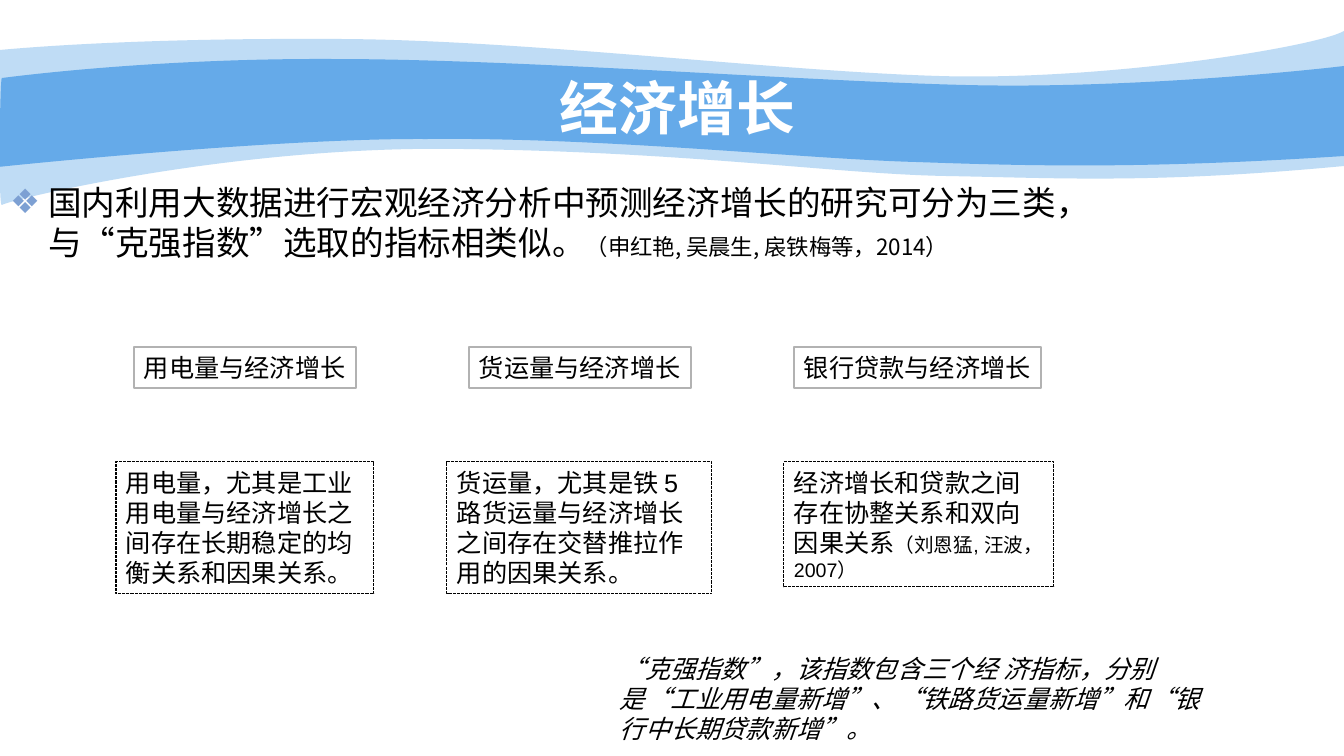
from dataclasses import dataclass

from lxml.etree import SubElement
from pptx import Presentation
from pptx.dml.color import RGBColor
from pptx.enum.dml import MSO_LINE
from pptx.enum.shapes import MSO_SHAPE
from pptx.enum.text import MSO_ANCHOR, MSO_AUTO_SIZE, PP_ALIGN
from pptx.oxml.ns import qn
from pptx.util import Emu, Pt

WIDTH, HEIGHT = 1344, 756
SCALE = 12192000 / WIDTH


@dataclass(frozen=True)
class Theme:
    wave: str = "65AAE9"
    bullet: str = "7DA0D3"
    frame: str = "B2B2B2"
    ink: str = "000000"
    paper: str = "FFFFFF"
    heading_font: str = "Noto Sans CJK SC"
    box_font: str = "Arial"
    title: int = 42
    lead: int = 24
    text: int = 18
    citation: int = 16
    small_citation: int = 14


THEME = Theme()

# Each wave: start, upper curves, right-hand corner, lower curves back to the start.
# A curve is two control points and an end point.
OUTER_WAVE = (
    (0, 50),
    [(32, 47), (144, 38), (332, 39), (518, 39), (773, 71), (939, 76),
     (1105, 81), (1316, 47), (1344, 31)],
    (1344, 166),
    [(1153, 184), (1058, 178), (946, 176), (836, 174), (692, 152), (462, 149),
     (231, 145), (5, 201), (2, 205), (-2, 210), (0, 76), (0, 50)],
)
INNER_WAVE = (
    (2, 78),
    [(3, 78), (147, 58), (334, 59), (519, 59), (800, 81), (966, 85),
     (1131, 89), (1311, 70), (1344, 66)],
    (1344, 156),
    [(1146, 169), (1029, 166), (916, 162), (805, 159), (601, 137), (426, 139),
     (273, 138), (-3, 167), (-2, 167), (0, 167), (0, 78), (2, 78)],
)

# Each topic: label, label box, explanation, citation, explanation box
TOPICS = [
    ("用电量与经济增长", (134, 347, 222, 41),
     "用电量，尤其是工业用电量与经济增长之间存在长期稳定的均衡关系和因果关系。", "",
     (116, 462, 258, 132)),
    ("货运量与经济增长", (469, 347, 222, 41),
     "货运量，尤其是铁 5 路货运量与经济增长之间存在交替推拉作用的因果关系。", "",
     (447, 462, 265, 132)),
    ("银行贷款与经济增长", (794, 347, 247, 41),
     "经济增长和贷款之间存在协整关系和双向因果关系", "（刘恩猛, 汪波，2007）",
     (784, 462, 270, 125)),
]


def px(length):
    return Emu(round(length * SCALE))


def color(code):
    return RGBColor.from_string(code)


def place(shape, box):
    shape.left, shape.top, shape.width, shape.height = map(px, box)


def set_font(para, name, size, ink=THEME.ink):
    font = para.font
    font.name, font.size = name, Pt(size)
    font.color.rgb = color(ink)
    SubElement(para._p.pPr.find(qn("a:defRPr")), qn("a:ea"), typeface=THEME.heading_font)


def add_spans(para, text, citation, citation_size):
    para.add_run().text = text
    if citation:
        span = para.add_run()
        span.text = citation
        span.font.size = Pt(citation_size)


def bend(lines):
    """Join each three line segments into one cubic curve."""
    for first, second, end in zip(lines[::3], lines[1::3], lines[2::3]):
        first.addprevious(curve := first.makeelement(qn("a:cubicBezTo")))
        for line in (first, second, end):
            curve.append(line[0])
            line.getparent().remove(line)


def add_wave(page, wave, opacity=100):
    start, upper, corner, lower = wave
    builder = page.shapes.build_freeform(*map(px, start))
    builder.add_line_segments([(px(x), px(y)) for x, y in [*upper, corner, *lower]], close=True)
    shape = builder.convert_to_shape()
    lines = list(shape.element.iter(qn("a:lnTo")))
    bend(lines[:len(upper)])
    bend(lines[len(upper) + 1:])
    shape.shadow.inherit = False
    shape.fill.solid()
    shape.fill.fore_color.rgb = color(THEME.wave)
    shape.line.fill.background()
    if opacity < 100:
        tint = shape.element.spPr.find(qn("a:solidFill"))[0]
        SubElement(tint, qn("a:alpha"), val=str(opacity * 1000))
    # Keep the wave behind the title
    page.shapes.title.element.addprevious(shape.element)


def add_title(page, box):
    title = page.shapes.title
    place(title, box)
    frame = title.text_frame
    frame.text = "经济增长"
    frame.vertical_anchor = MSO_ANCHOR.MIDDLE
    frame.auto_size = MSO_AUTO_SIZE.NONE
    para = frame.paragraphs[0]
    para.alignment = PP_ALIGN.CENTER
    set_font(para, THEME.heading_font, THEME.title, THEME.paper)
    para.font.bold = True


def add_lead(page, box):
    body = page.placeholders[1]
    place(body, box)
    body.text_frame.auto_size = MSO_AUTO_SIZE.NONE
    para = body.text_frame.paragraphs[0]
    add_spans(para, "国内利用大数据进行宏观经济分析中预测经济增长的研究可分为三类，与“克强指数”选取的指标相类似。",
              "（申红艳, 吴晨生, 扆铁梅等，2014）", THEME.citation)
    para.space_before = Pt(0)
    # Hanging diamond bullet
    layout = para._p.get_or_add_pPr()
    layout.set("marL", str(px(38)))
    layout.set("indent", str(px(-38)))
    SubElement(SubElement(layout, qn("a:buClr")), qn("a:srgbClr"), val=THEME.bullet)
    SubElement(layout, qn("a:buChar"), char="❖")
    set_font(para, THEME.heading_font, THEME.lead)


def add_box(page, box, text, citation="", fill=None, line=THEME.ink, weight=2.0,
            dash=None, wrap=True, italic=None):
    shape = page.shapes.add_shape(MSO_SHAPE.RECTANGLE, *map(px, box))
    shape.shadow.inherit = False
    if fill:
        shape.fill.solid()
        shape.fill.fore_color.rgb = color(fill)
    else:
        shape.fill.background()
    shape.line.color.rgb = color(line)
    shape.line.width = Pt(weight)
    if dash:
        shape.line.dash_style = dash
    frame = shape.text_frame
    frame.word_wrap = wrap
    frame.auto_size = MSO_AUTO_SIZE.SHAPE_TO_FIT_TEXT
    frame.vertical_anchor = MSO_ANCHOR.TOP
    para = frame.paragraphs[0]
    para.alignment = PP_ALIGN.LEFT
    add_spans(para, text, citation, THEME.small_citation)
    set_font(para, THEME.box_font, THEME.text)
    para.font.italic = italic


def add_topic(page, label, label_box, detail, citation, detail_box):
    add_box(page, label_box, label, fill=THEME.paper, line=THEME.frame, wrap=False)
    add_box(page, detail_box, detail, citation, weight=0.75, dash=MSO_LINE.SQUARE_DOT)


def main():
    deck = Presentation()
    deck.slide_width, deck.slide_height = px(WIDTH), px(HEIGHT)
    page = deck.slides.add_slide(deck.slide_layouts[1])
    # Banner
    add_wave(page, OUTER_WAVE, opacity=41)
    add_wave(page, INNER_WAVE)
    add_title(page, (134, 76, 1087, 62))
    # Lead statement, closing note and the three topics
    add_lead(page, (0, 177, 1159, 104))
    add_box(page, (610, 648, 611, 102),
            "“克强指数”，该指数包含三个经 济指标，分别是“工业用电量新增”、“铁路货运量新增”和“银行中长期贷款新增”。",
            fill=THEME.paper, line=THEME.paper, italic=True)
    for topic in TOPICS:
        add_topic(page, *topic)
    deck.save("out.pptx")


if __name__ == "__main__":
    main()
